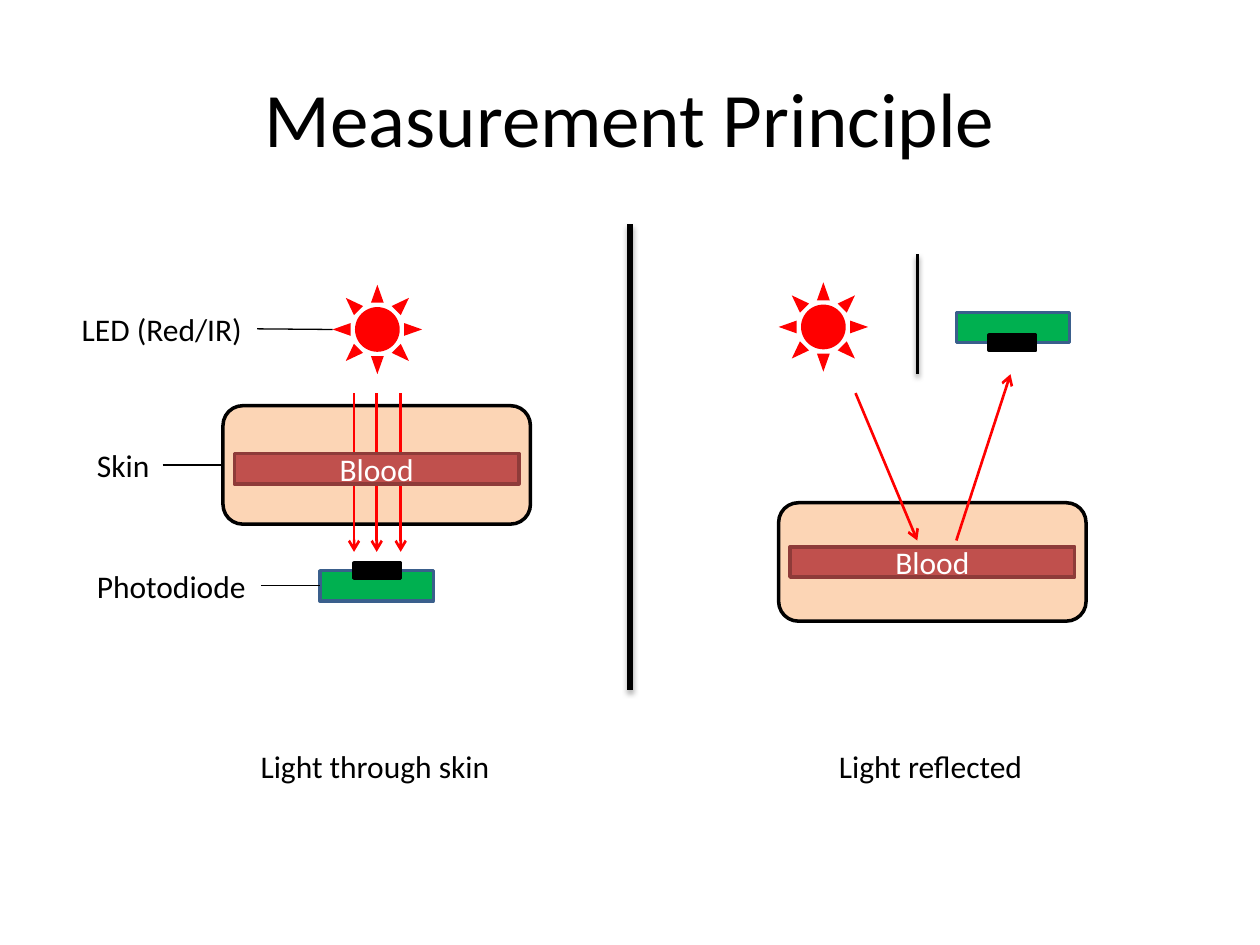
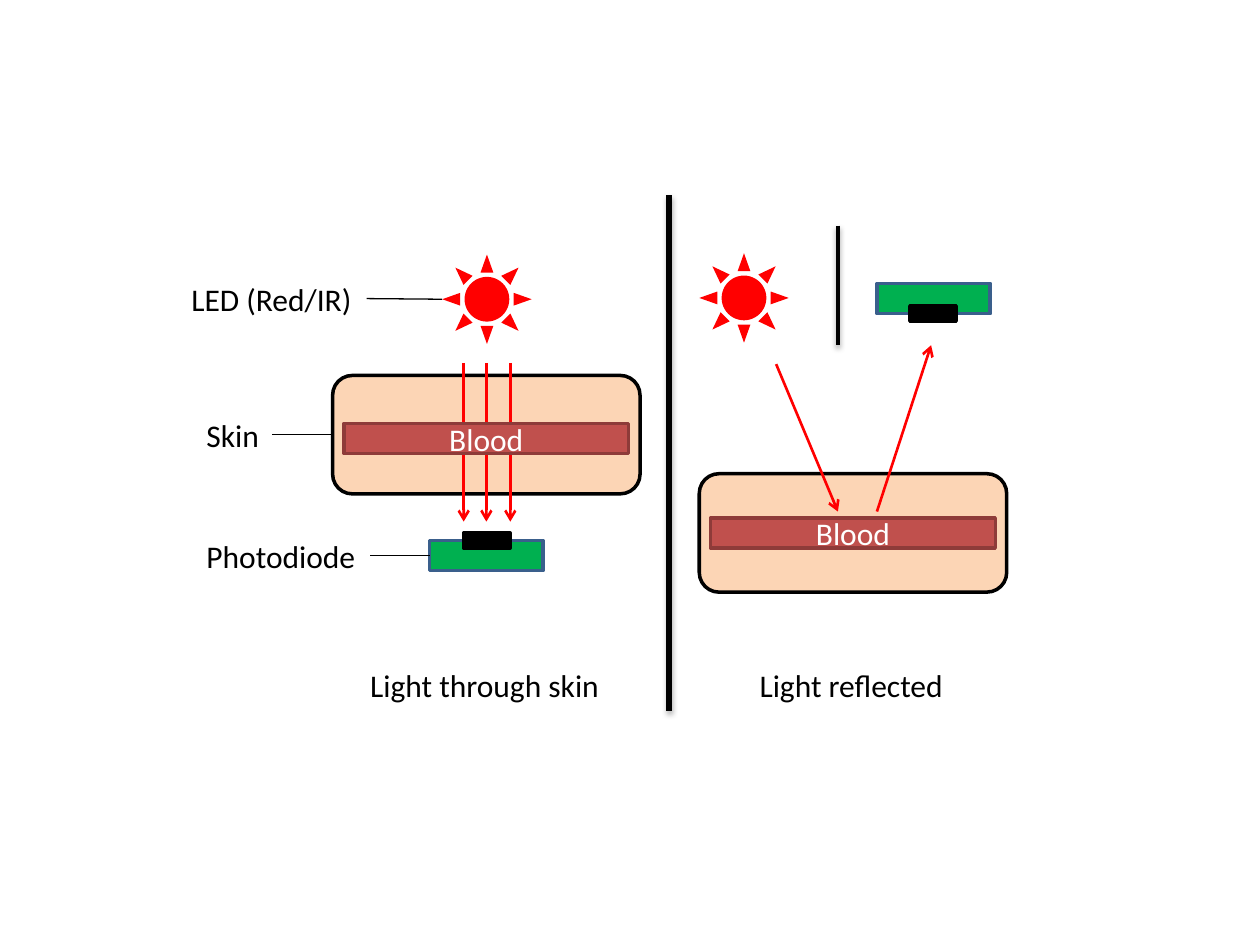
"""Two slides comparing light passing through skin with light reflected by it."""
from lxml import etree
from pptx import Presentation
from pptx.dml.color import RGBColor
from pptx.enum import shapes, text
from pptx.oxml import ns
from pptx.util import Inches, Pt

FONT = "Calibri"
BLACK, WHITE, RED = "000000", "FFFFFF", "FF0000"
SKIN, BLOOD, BLOOD_EDGE = "FCD5B5", "C0504D", "8E3B39"
DIODE, DIODE_EDGE = "00B050", "3A5F8C"
SUN = shapes.MSO_SHAPE.SUN
RECT = shapes.MSO_SHAPE.RECTANGLE
ROUNDED = shapes.MSO_SHAPE.ROUNDED_RECTANGLE


def add_part(slide, kind, left, top, width, height, fill=None, edge=None,
             words="", size=18, colour=BLACK, wrap=True):
    """Add a preset shape, or a text box when kind is None."""
    frame = [Inches(v) for v in (left, top, width, height)]
    if kind is None:
        part = slide.shapes.add_textbox(*frame)
    else:
        part = slide.shapes.add_shape(kind, *frame)
        part.shadow.inherit = False
        part.fill.solid()
        part.fill.fore_color.rgb = RGBColor.from_string(fill)
        if edge:
            part.line.color.rgb = RGBColor.from_string(edge)
            part.line.width = Pt(2)
        else:
            part.line.fill.background()
    if words:
        body = part.text_frame
        body.word_wrap = wrap
        paragraph = body.paragraphs[0]
        if wrap:
            body.vertical_anchor = text.MSO_ANCHOR.MIDDLE
            paragraph.alignment = text.PP_ALIGN.CENTER
        else:
            body.auto_size = text.MSO_AUTO_SIZE.SHAPE_TO_FIT_TEXT
        run = paragraph.add_run()
        run.text = words
        run.font.name = FONT
        run.font.size = Pt(size)
        run.font.color.rgb = RGBColor.from_string(colour)
    return part


def add_line(slide, x1, y1, x2, y2, colour, width, arrow=False, shadow=None):
    """Add a straight line; shadow is (opacity in percent, distance in points)."""
    line = slide.shapes.add_connector(
        shapes.MSO_CONNECTOR.STRAIGHT, *[Inches(v) for v in (x1, y1, x2, y2)])
    line.line.color.rgb = RGBColor.from_string(colour)
    line.line.width = Pt(width)
    properties = line._element.spPr
    if arrow:
        outline = properties.find(ns.qn("a:ln"))
        etree.SubElement(outline, ns.qn("a:tailEnd"), type="arrow")
    effects = etree.SubElement(properties, ns.qn("a:effectLst"))
    if shadow:
        opacity, distance = shadow
        outer = etree.SubElement(
            effects, ns.qn("a:outerShdw"), blurRad=str(Pt(3.1)),
            dist=str(Pt(distance)), dir="5400000", rotWithShape="0")
        black = etree.SubElement(outer, ns.qn("a:srgbClr"), val=BLACK)
        etree.SubElement(black, ns.qn("a:alpha"), val=str(opacity * 1000))
    return line


deck = Presentation()
deck.slide_width, deck.slide_height = Inches(10), Inches(7.5)

variants = [
    dict(title="Measurement Principle", divider=(5, 1.78, 5.48), caption_top=5.88,
         captions=(1.97, 6.56), through=(1.77, 2.26), reflected=(6.18, 2.24)),
    dict(title="", divider=(5.31, 1.55, 5.64), caption_top=5.24,
         captions=(2.84, 5.93), through=(2.64, 2.02), reflected=(5.55, 2.01)),
]

for variant in variants:
    slide = deck.slides.add_slide(deck.slide_layouts[6])
    if variant["title"]:
        add_part(slide, None, 0.5, 0.3, 9, 1.25, words=variant["title"], size=44)

    through_left, reflected_left = variant["captions"]
    for left, width, caption in ((reflected_left, 1.68, "Light reflected"),
                                 (through_left, 2.04, "Light through skin")):
        add_part(slide, None, left, variant["caption_top"], width, 0.4,
                 words=caption, wrap=False)
    middle, divider_top, divider_bottom = variant["divider"]
    add_line(slide, middle, divider_top, middle, divider_bottom, BLACK, 3,
             shadow=(35, 1.8))

    through_rays = [(x, 0.86, x, 2.12) for x in (1.04, 1.22, 1.41)]
    reflected_rays = [(0.61, 0.88, 1.1, 2.05), (1.41, 2.05, 1.84, 0.73)]
    setups = [
        (variant["through"], (0.87, 0), (0.77, 2.27), (1.04, 2.21), 0.96, 1.34,
         through_rays),
        (variant["reflected"], (0, 0), (1.41, 0.24), (1.67, 0.42), 1.75, 2.1,
         reflected_rays),
    ]
    for (x, y), sun, diode, sensor, skin_top, blood_top, rays in setups:
        led = add_part(slide, SUN, x + sun[0], y + sun[1], 0.71, 0.71, RED)
        photodiode = add_part(slide, RECT, x + diode[0], y + diode[1], 0.9, 0.24,
                              DIODE, DIODE_EDGE)
        add_part(slide, RECT, x + sensor[0], y + sensor[1], 0.37, 0.12, BLACK, BLACK)
        skin = add_part(slide, ROUNDED, x, y + skin_top, 2.44, 0.94, SKIN, BLACK)
        for x1, y1, x2, y2 in rays:
            add_line(slide, x + x1, y + y1, x + x2, y + y2, RED, 1.5, arrow=True)

        if rays is through_rays:
            for words, left, top, width, target in (
                    ("LED (Red/IR)", -1.22, 0.15, 1.49, led),
                    ("Photodiode", -1.1, 2.19, 1.4, photodiode),
                    ("Skin", -1.1, 1.23, 0.62, skin)):
                label = add_part(slide, None, x + left, y + top, width, 0.4,
                                 words=words, wrap=False)
                leader = add_line(slide, 0, 0, 1, 1, BLACK, 0.75)
                leader.begin_connect(label, 3)
                leader.end_connect(target, 1)
        else:
            add_line(slide, x + 1.1, y - 0.22, x + 1.1, y + 0.73, BLACK, 2,
                     shadow=(38, 1.6))
        add_part(slide, RECT, x + 0.09, y + blood_top, 2.26, 0.24, BLOOD, BLOOD_EDGE,
                 words="Blood", colour=WHITE)

deck.save("out.pptx")
